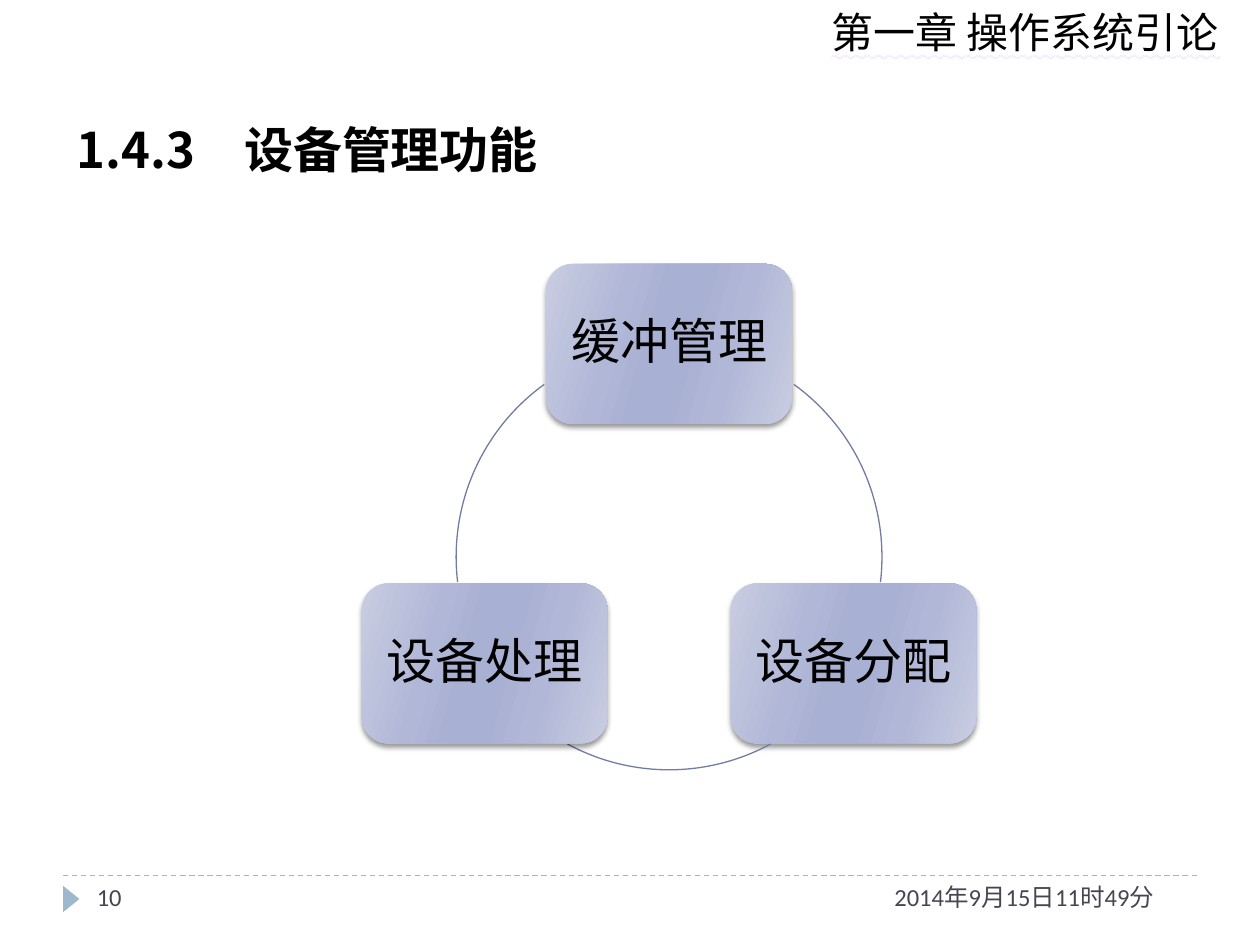
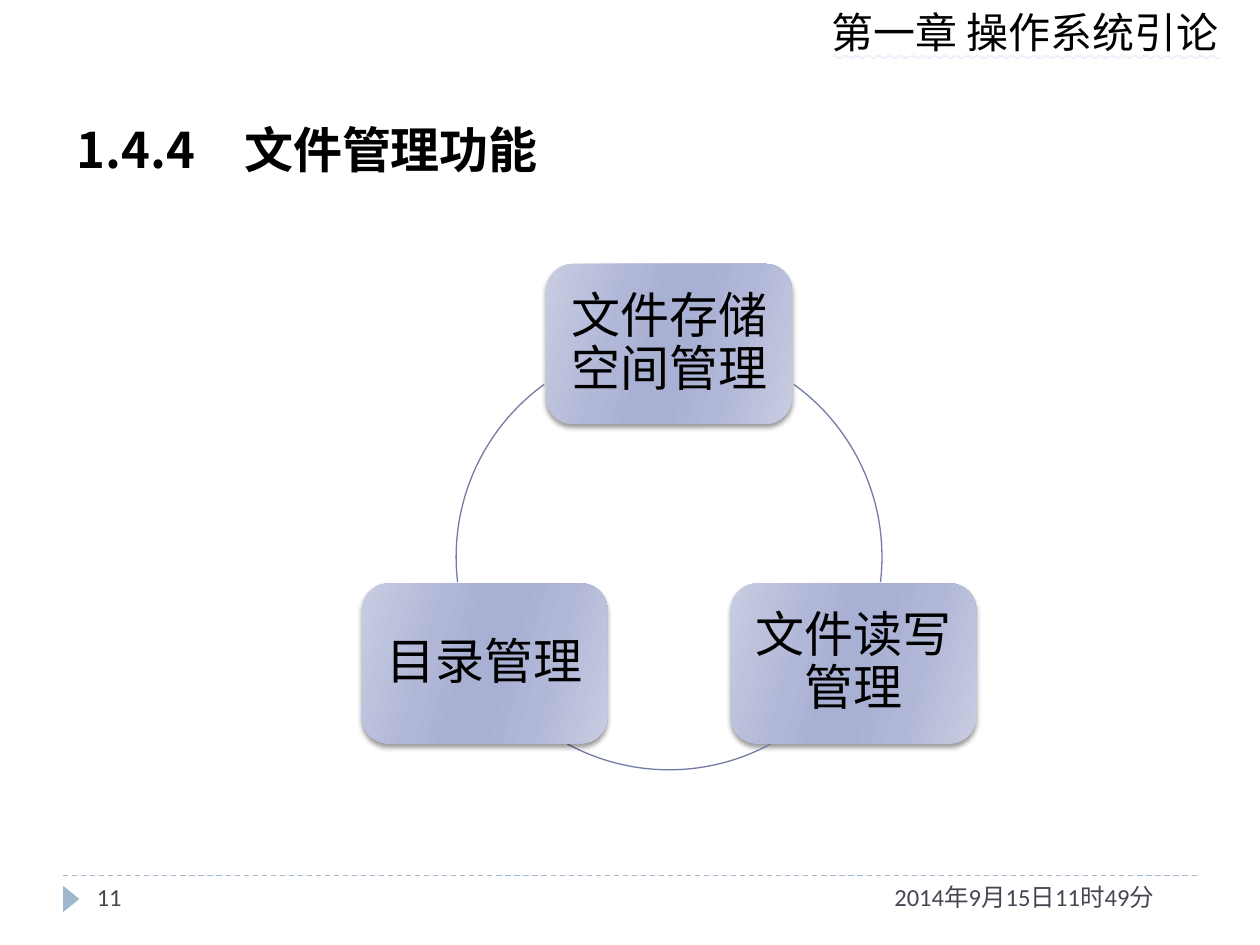
from dataclasses import dataclass
from math import cos, radians, sin
from typing import Any

import lxml.etree
import pptx
import pptx.dml.color
import pptx.enum.dml
import pptx.enum.shapes
import pptx.enum.text
import pptx.oxml.ns
import pptx.util

qn = pptx.oxml.ns.qn
Align = pptx.enum.text.PP_ALIGN
Anchor = pptx.enum.text.MSO_ANCHOR
Preset = pptx.enum.shapes.MSO_SHAPE


@dataclass(frozen=True)
class Theme:
    ink: str = "000000"
    footer_ink: str = "464653"
    accent: str = "9FB8CD"
    ring: str = "727CA3"
    underline: str = "D0B0E8"
    card_stops: tuple = ((0, "C9CDE2"), (30, "B1B7D7"), (45, "A8B0D3"),
                         (55, "A8B0D3"), (73, "B1B7D7"), (100, "C9CDE2"))
    card_angle: int = 16
    latin: str = "Calibri"
    asian: str = "Noto Sans CJK SC"
    heading_size: int = 28
    chapter_size: int = 24
    footer_size: int = 14
    line_width: float = 0.75


@dataclass(frozen=True)
class Frame:
    left: float
    top: float
    width: float
    height: float

    def place(self) -> tuple:
        return (column(self.left), row(self.top),
                column(self.width), row(self.height))


@dataclass(frozen=True)
class Topic:
    number: int
    title: str
    cards: tuple


THEME = Theme()
WIDTH, HEIGHT = pptx.util.Inches(10), pptx.util.Inches(7.5)
COLUMNS, ROWS = 100, 75

CHAPTER = "第一章 操作系统引论"
DATE = "2014年9月15日11时49分"
TOPICS = (
    Topic(10, "1.4.3　设备管理功能", ("缓冲管理", "设备分配", "设备处理")),
    Topic(11, "1.4.4　文件管理功能", ("文件存储空间管理", "文件读写管理", "目录管理")),
)

TITLE_FRAME = Frame(5.1, 7.6, 89.8, 7.9)
CHAPTER_FRAME = Frame(65, 0, 34, 5)
DATE_FRAME = Frame(70, 69.5, 25, 4)
NUMBER_FRAME = Frame(6.7, 69.5, 21.7, 4)
MARKER_FRAME = Frame(4.6, 70.7, 2.1, 1.3)
RULE_ROW, RULE_START, RULE_END = 69.5, 5, 95

RING_X, RING_Y, RING_RADIUS = 53.1, 44.2, 16.9
CARD_WIDTH, CARD_HEIGHT = 19.5, 12.7
CARD_ANGLES = (-90, 30, 150)
ARCS = ((-54.1, 6.8), (61.5, 118.5), (173.2, 234.1))


def column(count: float) -> int:
    return round(WIDTH * count / COLUMNS)


def row(count: float) -> int:
    return round(HEIGHT * count / ROWS)


def colour(value: str) -> pptx.dml.color.RGBColor:
    return pptx.dml.color.RGBColor.from_string(value)


def child(parent: Any, tag: str, **attributes: Any) -> Any:
    return lxml.etree.SubElement(
        parent, qn(tag), {name: str(value) for name, value in attributes.items()})


def add_span(para: Any, text: str, size: float, ink: str,
             latin: str = THEME.latin, bold: bool = False) -> Any:
    span = para.add_run()
    span.text = text
    span.font.size = pptx.util.Pt(size)
    span.font.bold = bold
    span.font.color.rgb = colour(ink)
    span.font.name = latin
    asian = lxml.etree.Element(qn("a:ea"), typeface=THEME.asian)
    span.font._element.find(qn("a:latin")).addnext(asian)
    return span


def set_percent_spacing(para: Any, side: str, percent: int) -> None:
    setattr(para, f"space_{side}", pptx.util.Pt(0))
    tag = {"before": "a:spcBef", "after": "a:spcAft"}[side]
    spacing = para._p.pPr.find(qn(tag))
    spacing.clear()
    child(spacing, "a:spcPct", val=percent * 1000)


def add_label(page: Any, frame: Frame, text: str, size: float, ink: str) -> Any:
    box = page.shapes.add_textbox(*frame.place())
    box.text_frame.word_wrap = True
    return add_span(box.text_frame.paragraphs[0], text, size, ink)


def add_title(page: Any, text: str) -> None:
    title = page.shapes.title
    title.left, title.top, title.width, title.height = TITLE_FRAME.place()
    frame = title.text_frame
    frame.auto_size = pptx.enum.text.MSO_AUTO_SIZE.NONE
    frame.vertical_anchor = Anchor.TOP
    para = frame.paragraphs[0]
    para.alignment = Align.JUSTIFY
    para.line_spacing = 1.3
    set_percent_spacing(para, "before", 50)
    add_span(para, text, THEME.heading_size, THEME.ink, THEME.asian, True)


def add_chapter(page: Any) -> None:
    span = add_label(page, CHAPTER_FRAME, CHAPTER, THEME.chapter_size, THEME.ink)
    span.font.underline = pptx.enum.text.MSO_UNDERLINE.WAVY_DOUBLE_LINE
    stroke = lxml.etree.Element(qn("a:uFill"))
    child(child(stroke, "a:solidFill"), "a:srgbClr", val=THEME.underline)
    span.font._element.find(qn("a:solidFill")).addnext(stroke)


def add_footer(page: Any, number: int) -> None:
    rule = page.shapes.add_connector(
        pptx.enum.shapes.MSO_CONNECTOR.STRAIGHT,
        column(RULE_START), row(RULE_ROW), column(RULE_END), row(RULE_ROW))
    rule.line.color.rgb = colour(THEME.accent)
    rule.line.width = pptx.util.Pt(THEME.line_width)
    rule.line.dash_style = pptx.enum.dml.MSO_LINE.DASH
    child(rule._element.spPr, "a:effectLst")

    marker = page.shapes.add_shape(Preset.ISOSCELES_TRIANGLE, *MARKER_FRAME.place())
    marker.rotation = 90
    marker.shadow.inherit = False
    marker.fill.solid()
    marker.fill.fore_color.rgb = colour(THEME.accent)
    marker.line.fill.background()

    for frame, text in ((DATE_FRAME, DATE), (NUMBER_FRAME, str(number))):
        add_label(page, frame, text, THEME.footer_size, THEME.footer_ink)


def style_card(card: Any) -> None:
    card.line.fill.background()
    card.fill.gradient()
    card.fill.gradient_angle = 360 - THEME.card_angle
    properties = card._element.spPr
    stops = properties.find(".//" + qn("a:gsLst"))
    stops.clear()
    for position, value in THEME.card_stops:
        stop = child(stops, "a:gs", pos=position * 1000)
        child(stop, "a:srgbClr", val=value)
    card.shadow.inherit = False
    shadow = child(properties.find(qn("a:effectLst")), "a:outerShdw",
                   blurRad=pptx.util.Pt(3), dist=pptx.util.Pt(2),
                   dir=90 * 60000, rotWithShape=0)
    child(child(shadow, "a:srgbClr", val=THEME.ink), "a:alpha", val=40000)


def add_card(page: Any, angle: float, text: str) -> None:
    centre_x = RING_X + RING_RADIUS * cos(radians(angle))
    centre_y = RING_Y + RING_RADIUS * sin(radians(angle))
    place = Frame(centre_x - CARD_WIDTH / 2, centre_y - CARD_HEIGHT / 2,
                  CARD_WIDTH, CARD_HEIGHT)
    card = page.shapes.add_shape(Preset.ROUNDED_RECTANGLE, *place.place())
    style_card(card)
    frame = card.text_frame
    frame.word_wrap = True
    frame.vertical_anchor = Anchor.MIDDLE
    for side in ("left", "top", "right", "bottom"):
        setattr(frame, f"margin_{side}", pptx.util.Inches(0.12))
    para = frame.paragraphs[0]
    para.alignment = Align.CENTER
    para.line_spacing = 0.9
    set_percent_spacing(para, "after", 35)
    add_span(para, text, THEME.heading_size, THEME.ink)


def add_arc(page: Any, start: float, end: float) -> None:
    ring = Frame(RING_X - RING_RADIUS, RING_Y - RING_RADIUS,
                 2 * RING_RADIUS, 2 * RING_RADIUS)
    arc = page.shapes.add_shape(Preset.ARC, *ring.place())
    for index, angle in enumerate((start, end)):
        arc.adjustments[index] = angle % 360 * 0.6
    arc.shadow.inherit = False
    arc.fill.background()
    arc.line.color.rgb = colour(THEME.ring)
    arc.line.width = pptx.util.Pt(THEME.line_width)


def add_topic(deck: Any, topic: Topic) -> None:
    page = deck.slides.add_slide(deck.slide_layouts.get_by_name("Title Only"))
    add_footer(page, topic.number)
    add_chapter(page)
    add_title(page, topic.title)
    for angle, text, arc in zip(CARD_ANGLES, topic.cards, ARCS):
        add_card(page, angle, text)
        add_arc(page, *arc)


def main() -> None:
    deck = pptx.Presentation()
    deck.slide_width, deck.slide_height = WIDTH, HEIGHT
    for topic in TOPICS:
        add_topic(deck, topic)
    deck.save("out.pptx")


main()
